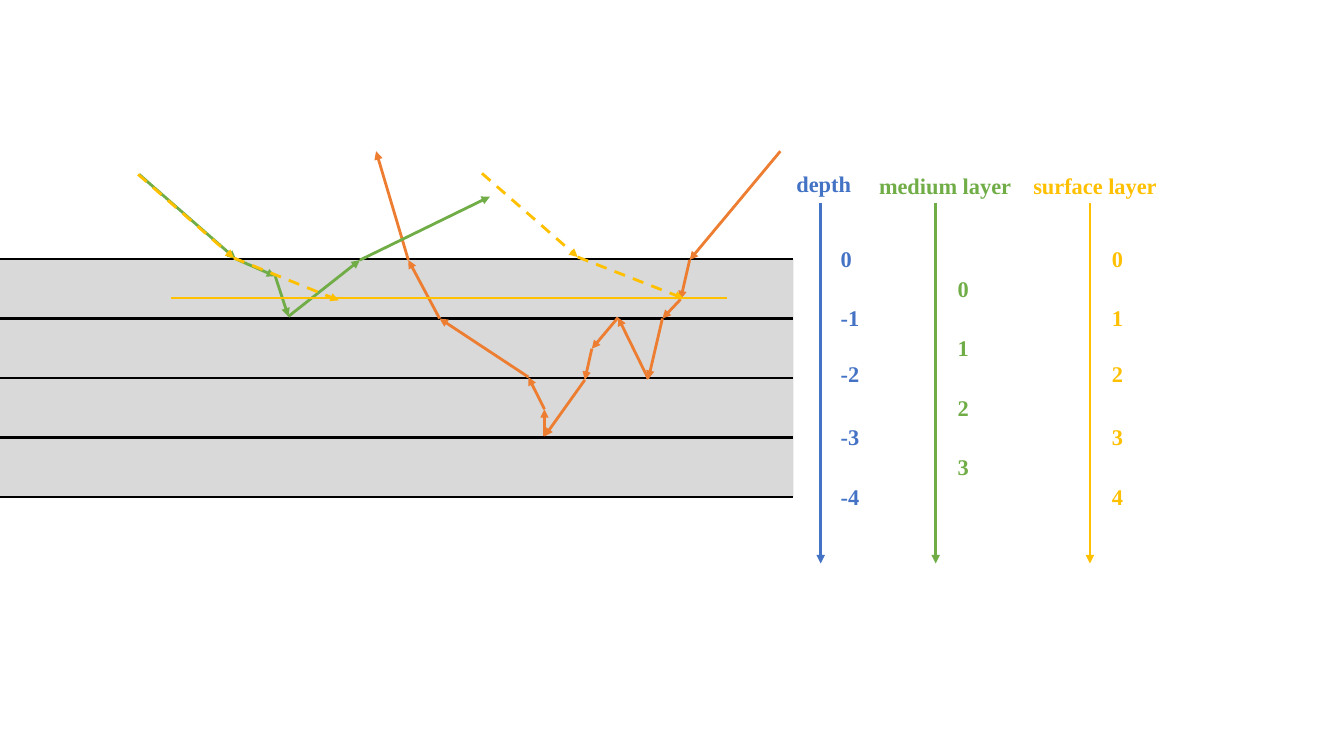
import itertools
import pptx
import pptx.util
import pptx.dml.color
import pptx.enum.dml
import pptx.enum.shapes
import pptx.enum.text
import pptx.oxml
import pptx.oxml.ns

Inches = pptx.util.Inches
Pt = pptx.util.Pt

BLUE, GREEN, GOLD, ORANGE = "4472C4", "70AD47", "FFC000", "ED7D31"
BLACK, GREY = "000000", "D9D9D9"


def color(code):
    return pptx.dml.color.RGBColor.from_string(code)


def child(parent, tag, **attrs):
    node = pptx.oxml.parse_xml(
        "<%s %s/>" % (tag, pptx.oxml.ns.nsdecls("a")))
    for key, value in attrs.items():
        node.set(key, value)
    parent.append(node)


class Board:
    font = "Times New Roman"
    size = 16
    width = 2

    def __init__(self, slide):
        self.shapes = slide.shapes

    def layer(self, left, top, width, height):
        kind = pptx.enum.shapes.MSO_SHAPE.RECTANGLE
        rect = self.shapes.add_shape(
            kind, Inches(left), Inches(top), Inches(width), Inches(height))
        rect.shadow.inherit = False
        rect.fill.solid()
        rect.fill.fore_color.rgb = color(GREY)
        rect.line.fill.background()

    def line(self, start, end, code, width=None, arrow=False, dash=False):
        kind = pptx.enum.shapes.MSO_CONNECTOR.STRAIGHT
        x, y = start
        to_x, to_y = end
        link = self.shapes.add_connector(
            kind, Inches(x), Inches(y), Inches(to_x), Inches(to_y))
        link.line.color.rgb = color(code)
        link.line.width = Pt(width or self.width)
        if dash:
            link.line.dash_style = pptx.enum.dml.MSO_LINE.DASH
        if arrow:
            child(link.line._get_or_add_ln(), "a:tailEnd", type="triangle")
        child(link._element.spPr, "a:effectLst")

    def ray(self, points, code, dash=False):
        for start, end in itertools.pairwise(points):
            self.line(start, end, code, arrow=True, dash=dash)

    def label(self, text, left, top, width, code):
        box = self.shapes.add_textbox(
            Inches(left), Inches(top), Inches(width), Inches(0.37))
        frame = box.text_frame
        frame.word_wrap = False
        frame.auto_size = pptx.enum.text.MSO_AUTO_SIZE.SHAPE_TO_FIT_TEXT
        frame.text = text
        font = frame.paragraphs[0].runs[0].font
        font.name = self.font
        font.size = Pt(self.size)
        font.bold = True
        font.color.rgb = color(code)

    def axis(self, x, code, title, ticks):
        self.line((x, 2.01), (x, 5.59), code, arrow=True)
        self.label(*title, code)
        for text, left, top in ticks:
            self.label(text, left, top, 0.39 if "-" in text else 0.31, code)


def main():
    deck = pptx.Presentation()
    deck.slide_width = Inches(13.33)
    deck.slide_height = Inches(7.5)
    board = Board(deck.slides.add_slide(deck.slide_layouts[6]))

    top, step, right = 2.57, 0.59, 7.87
    for row in range(4):
        board.layer(0, top + row * step, right, step)
    for row in range(5):
        y = top + row * step
        board.line((0, y), (right, y), BLACK)

    tops = [2.38, 2.97, 3.52, 4.15, 4.74]
    depths = [(str(-n), 8.24, y) for n, y in enumerate(tops)]
    mids = [(str(n), 9.4, 2.68 + n * step) for n in range(4)]
    faces = [(str(n), 10.93, y) for n, y in enumerate(tops)]
    board.axis(8.14, BLUE, ("depth", 7.8, 1.64, 0.75), depths)
    board.axis(9.28, GREEN, ("medium layer", 8.62, 1.66, 1.53), mids)
    board.axis(10.81, GOLD, ("surface layer", 10.15, 1.66, 1.44), faces)

    board.ray([(7.74, 1.5), (6.84, 2.58), (6.75, 2.97), (6.57, 3.16),
               (6.43, 3.76), (6.13, 3.15), (5.87, 3.46), (5.8, 3.77),
               (5.4, 4.33), (5.4, 4.06), (5.24, 3.74), (4.36, 3.16),
               (4.05, 2.58), (3.73, 1.5)], ORANGE)
    board.ray([(1.38, 1.73), (2.34, 2.57), (2.73, 2.74), (2.86, 3.14),
               (3.57, 2.58), (4.86, 1.95)], GREEN)
    board.line((1.7, 2.96), (7.21, 2.96), GOLD, width=1.5)
    board.ray([(1.37, 1.73), (2.32, 2.56), (3.36, 2.98)], GOLD, dash=True)
    board.ray([(4.78, 1.72), (5.73, 2.55), (6.78, 2.96)], GOLD, dash=True)

    deck.save("out.pptx")


if __name__ == "__main__":
    main()
